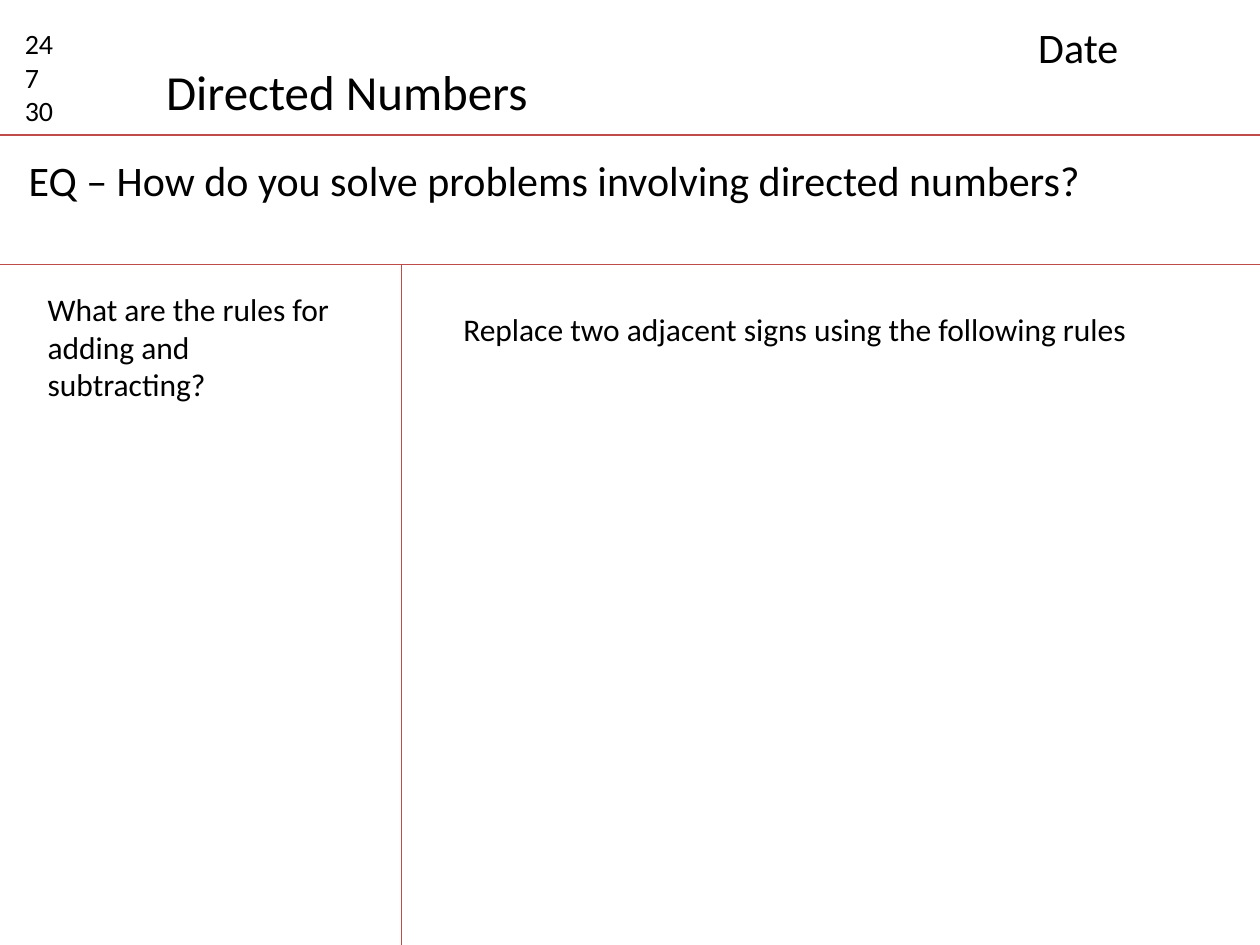
from dataclasses import dataclass

from lxml import etree
from pptx import Presentation
from pptx import util as u
from pptx.dml.color import RGBColor
from pptx.enum import shapes, text
from pptx.oxml.ns import qn


@dataclass(frozen=True)
class Theme:
    font: str = "Calibri"
    ink: RGBColor = RGBColor(0x00, 0x00, 0x00)
    rule: RGBColor = RGBColor(0xBF, 0x4C, 0x48)
    rule_width: float = 0.75
    title: int = 28
    heading: int = 24
    body: int = 18
    small: int = 16


theme = Theme()
page_width, page_height = 25.4, 19.05
header_bottom, question_bottom = 2.72, 5.33
cue_right, notes_bottom = 8.1, 19.53

presentation = Presentation()
presentation.slide_width = u.Cm(page_width)
presentation.slide_height = u.Cm(page_height)
slide = presentation.slides.add_slide(presentation.slide_layouts[6])

# Rules that divide the page into header, question, cues and notes
rules = [
    (0, header_bottom, page_width, header_bottom),
    (0, question_bottom, page_width, question_bottom),
    (cue_right, question_bottom, cue_right, notes_bottom),
]
for ends in rules:
    rule = slide.shapes.add_connector(
        shapes.MSO_CONNECTOR.STRAIGHT, *(u.Cm(end) for end in ends))
    rule.line.color.rgb = theme.rule
    rule.line.width = u.Pt(theme.rule_width)
    etree.SubElement(rule._element.spPr, qn("a:effectLst"))

# Left, top, width, height, type size, wrapping, lines
entries = [
    (0.25, 0.41, 1.6, 2.31, theme.small, True, ["24", "7", "30"]),
    (3.1, 1.12, 7.87, 1.45, theme.title, False, ["Directed Numbers"]),
    (20.68, 0.3, 4.39, 1.27, theme.heading, True, ["Date"]),
    (0.33, 3, 23.95, 1.27, theme.heading, True,
     ["EQ – How do you solve problems involving directed numbers?"]),
    (0.71, 5.72, 6.35, 2.57, theme.body, True,
     ["What are the rules for adding and subtracting?"]),
    (9.09, 6.12, 14.05, 1.02, theme.body, False,
     ["Replace two adjacent signs using the following rules"]),
]
for left, top, width, height, size, wraps, lines in entries:
    entry = slide.shapes.add_textbox(
        u.Cm(left), u.Cm(top), u.Cm(width), u.Cm(height))
    frame = entry.text_frame
    frame.word_wrap = wraps
    frame.auto_size = text.MSO_AUTO_SIZE.SHAPE_TO_FIT_TEXT
    for index, line in enumerate(lines):
        paragraph = frame.add_paragraph() if index else frame.paragraphs[0]
        run = paragraph.add_run()
        run.text = line
        run.font.name = theme.font
        run.font.size = u.Pt(size)
        run.font.color.rgb = theme.ink

presentation.save("out.pptx")
